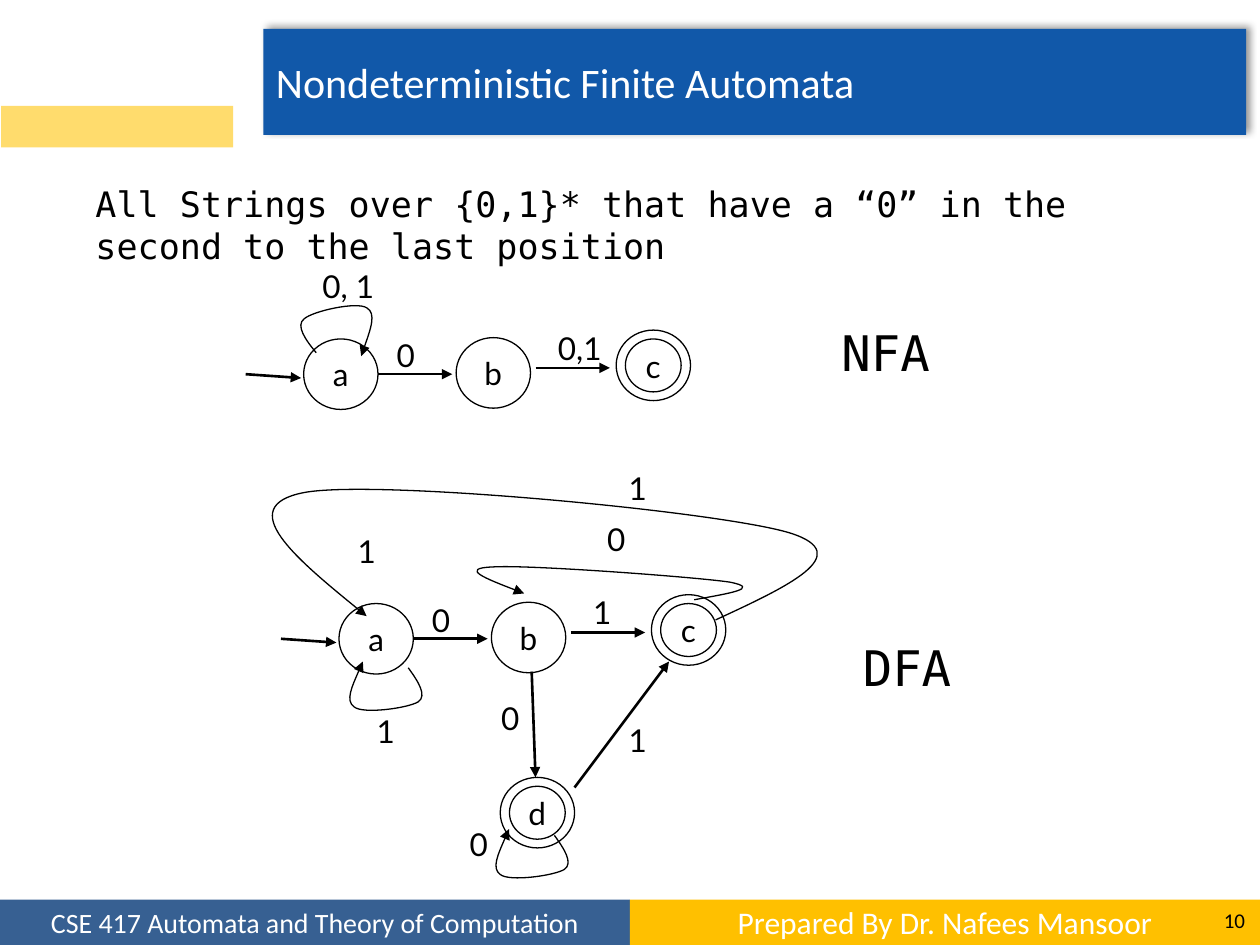
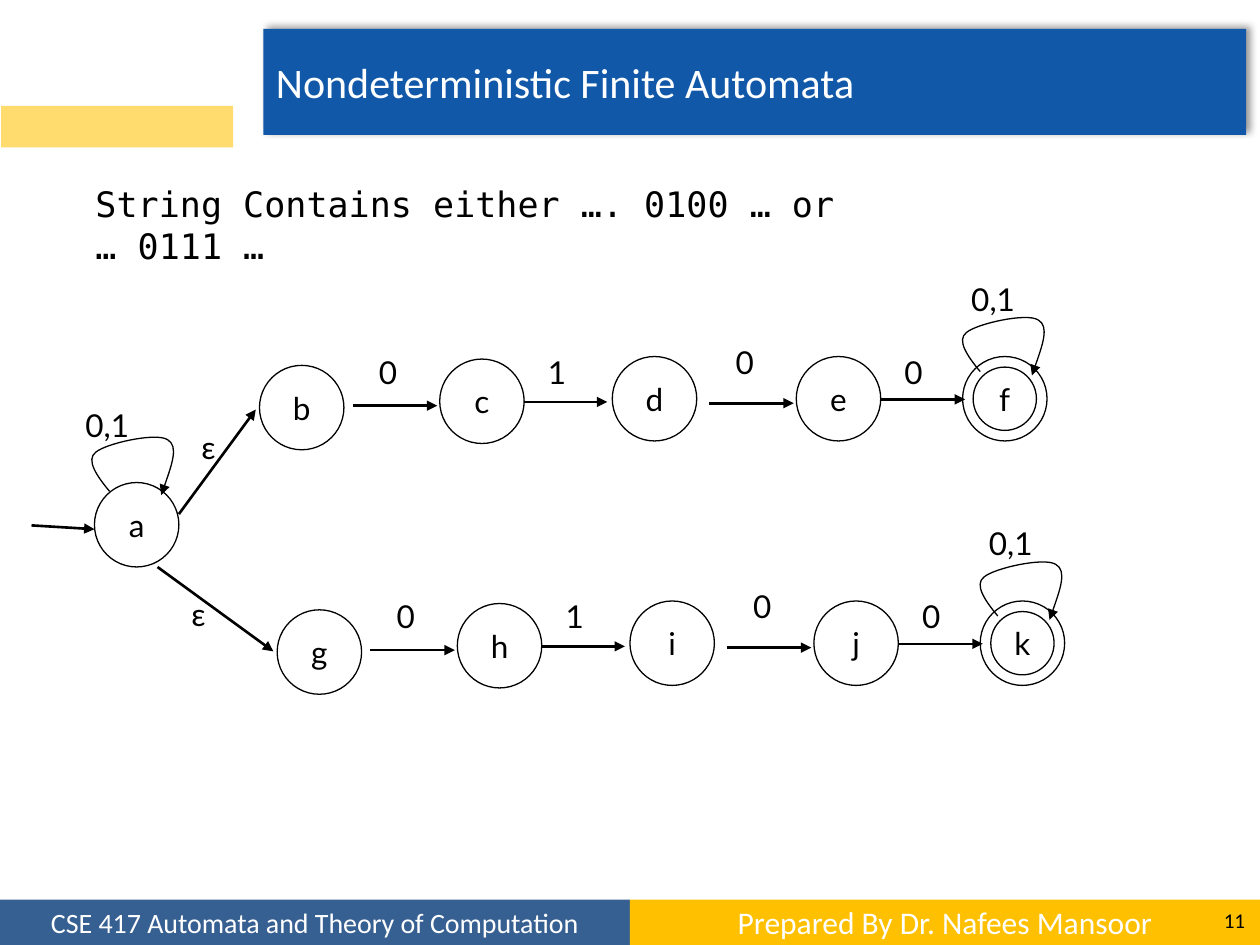
from lxml import etree
from pptx import Presentation
from pptx.dml.color import RGBColor
from pptx.enum.shapes import MSO_CONNECTOR, MSO_SHAPE
from pptx.enum.text import MSO_ANCHOR, MSO_AUTO_SIZE, PP_ALIGN
from pptx.oxml import parse_xml
from pptx.oxml.ns import qn
from pptx.util import Cm, Pt

LEFT, MID, RIGHT = PP_ALIGN.LEFT, PP_ALIGN.CENTER, PP_ALIGN.RIGHT
TOP, CORE = MSO_ANCHOR.TOP, MSO_ANCHOR.MIDDLE
RECT, OVAL = MSO_SHAPE.RECTANGLE, MSO_SHAPE.OVAL
STRAIGHT = MSO_CONNECTOR.STRAIGHT
NO_FIT = MSO_AUTO_SIZE.NONE
BLACK, WHITE = "000000", "FFFFFF"
BLUE, NAVY, GOLD, SAND = "1158A9", "376092", "FFC000", "FFDC6D"
BODY, MONO, HEAD = "Lato", "DejaVu Sans Mono", "Calibri"
NS = 'xmlns:a="http://schemas.openxmlformats.org/drawingml/2006/main"'

TITLE = "Nondeterministic Finite Automata"
BANDS = [
    (0, 7.14, 5, 0.36, NAVY, "CSE 417 Automata and Theory of Computation", 16),
    (5, 7.14, 5, 0.36, GOLD, "Prepared By Dr. Nafees Mansoor", 18),
    (0.01, 0.84, 1.84, 0.33, SAND, "", 18),
]
WIDTHS = {"0": 0.34, "1": 0.34, "ε": 0.31, "0,1": 0.55, "0, 1": 0.73}

OVER = [(0, 0), (-0.1, -0.12), (-0.19, -0.25), (-0.11, -0.31),
        (-0.03, -0.38), (0.37, -0.47), (0.46, -0.41),
        (0.55, -0.36), (0.48, -0.17), (0.41, 0.03)]
UNDER = [(0, 0), (0.08, 0.11), (0.15, 0.22), (0.08, 0.27),
         (0, 0.32), (-0.36, 0.37), (-0.43, 0.31),
         (-0.5, 0.26), (-0.43, 0.11), (-0.36, -0.05)]
BACK_B = [(5.51, 4.76), (5.78, 4.71), (6.05, 4.67), (5.79, 4.62),
          (5.52, 4.58), (4.18, 4.48), (3.91, 4.5),
          (3.64, 4.51), (3.9, 4.61), (4.16, 4.71)]
BACK_A = [(5.68, 4.92), (6.24, 4.66), (6.81, 4.4), (6.27, 4.23),
          (5.72, 4.06), (2.97, 3.8), (2.41, 3.91),
          (1.85, 4.02), (2.38, 4.46), (2.91, 4.89)]

SHORT = {
    "size": (0.59, 0.56),
    "nodes": [(2.41, 2.69), (3.62, 2.68), (4.89, 2.62)],
    "ways": [(1.95, 2.97, 2.39, 3), (3, 2.97, 3.59, 2.97),
             (4.25, 2.92, 4.84, 2.92)],
    "tags": [(3.05, 2.62), (4.33, 2.56)],
}
NFA = {"curves": [(OVER, 2.51, 2.8, 0.87)], "tags": [(2.46, 2.07)]}
DFA = {
    "size": (0.59, 0.56),
    "nodes": [(3.97, 6.17)],
    "ways": [(4.22, 5.33, 4.25, 6.17), (4.56, 6.25, 5.31, 5.25)],
    "curves": [(BACK_B, 0, 0, 1), (BACK_A, 0, 0, 1),
               (UNDER, 3.24, 5.3, 1), (UNDER, 4.4, 6.63, 1)],
    "tags": [(2.74, 4.17), (4.72, 4.08), (4.89, 3.67), (3.63, 6.5),
             (3.88, 5.5), (2.89, 5.6), (4.89, 5.67)],
}
START = {
    "size": (0.67, 0.67),
    "nodes": [(0.75, 3.83)],
    "ways": [(0.25, 4.17, 0.75, 4.2), (1.42, 4.08, 2.03, 3.25),
             (1.25, 4.5, 2.17, 5.17)],
    "curves": [(OVER, 0.87, 3.9, 1)],
    "tags": [(0.58, 3.17), (1.5, 3.35), (1.42, 4.67)],
}
BRANCH = {
    "size": (0.67, 0.67),
    "nodes": [(2.06, 2.9), (3.49, 2.85), (4.86, 2.83), (6.32, 2.83),
              (7.64, 2.83)],
    "ways": [(2.8, 3.22, 3.47, 3.22), (4.16, 3.19, 4.82, 3.19),
             (5.63, 3.2, 6.3, 3.2), (6.99, 3.17, 7.66, 3.17)],
    "curves": [(OVER, 7.78, 2.95, 1)],
    "tags": [(2.91, 2.75), (4.25, 2.75), (5.74, 2.67), (7.08, 2.75),
             (7.61, 2.17)],
}

SLIDES = [
    {"page": "10", "wide": 8.84,
     "text": "All Strings over {0,1}* that have a “0” in the second "
             "to the last position",
     "names": [("NFA", 6.58, 2.51), ("DFA", 6.75, 5.01)],
     "parts": [(SHORT, ["a", "b", "c*"], ["0", "0,1"], 0, 0),
               (NFA, [], ["0, 1"], 0, 0),
               (SHORT, ["a", "b", "c*"], ["0", "1"], 0.28, 2.1),
               (DFA, ["d*"], list("1010011"), 0, 0)]},
    {"page": "11", "wide": 6.14,
     "text": "String Contains either …. 0100 … or … 0111 …",
     "names": [],
     "parts": [(START, ["a"], ["0,1", "ε", "ε"], 0, 0),
               (BRANCH, ["b", "c", "d", "e", "f*"],
                ["0", "1", "0", "0", "0,1"], 0, 0),
               (BRANCH, ["g", "h", "i", "j", "k*"],
                ["0", "1", "0", "0", "0,1"], 0.14, 1.94)]},
]


def inch(*nums):
    return [Cm(n * 2.54) for n in nums]


def tint(code):
    return RGBColor.from_string(code)


def write(shape, text, size=18, font=BODY, color=BLACK, align=LEFT,
          anchor=TOP, wrap=True):
    frame = shape.text_frame
    frame.auto_size, frame.word_wrap = NO_FIT, wrap
    frame.vertical_anchor = anchor
    para = frame.paragraphs[0]
    para.alignment = align
    run = para.add_run()
    run.text = text
    run.font.size, run.font.name = Pt(size), font
    run.font.color.rgb = tint(color)


def label(slide, text, x, y, w, h, **look):
    write(slide.shapes.add_textbox(*inch(x, y, w, h)), text, **look)


def block(slide, kind, x, y, w, h, fill, line=None):
    shape = slide.shapes.add_shape(kind, *inch(x, y, w, h))
    shape.shadow.inherit = False
    shape.fill.solid()
    shape.fill.fore_color.rgb = tint(fill)
    if line:
        shape.line.color.rgb, shape.line.width = tint(line), Pt(0.75)
    else:
        shape.line.fill.background()
    return shape


def point(shape, width):
    shape.line.color.rgb, shape.line.width = tint(BLACK), Pt(width)
    line = shape.line._get_or_add_ln()
    etree.SubElement(line, qn("a:tailEnd"), type="triangle")


def arrow(slide, *ends):
    link = slide.shapes.add_connector(STRAIGHT, *inch(*ends))
    point(link, 1.5)
    etree.SubElement(link._element.spPr, qn("a:effectLst"))


def curve(slide, dots):
    dots = [inch(*dot) for dot in dots]
    pen = slide.shapes.build_freeform(*dots[0])
    pen.add_line_segments(dots[1:], close=False)
    shape = pen.convert_to_shape()
    shape.shadow.inherit = False
    shape.fill.background()
    point(shape, 0.75)
    steps = list(shape._element.iter(qn("a:lnTo")))
    for i in range(0, len(steps), 3):
        bend = etree.SubElement(steps[i].getparent(), qn("a:cubicBezTo"))
        for step in steps[i:i + 3]:
            bend.append(step[0])
            step.getparent().remove(step)


def node(slide, name, x, y, w, h):
    ring = block(slide, OVAL, x, y, w, h, WHITE, BLACK)
    if name.endswith("*"):
        ring = block(slide, OVAL, x + w / 8, y + h / 8, w * 0.75, h * 0.75,
                     WHITE, BLACK)
    write(ring, name[0], align=MID, anchor=CORE, wrap=False)


def draw(slide, part, names, marks, dx, dy):
    for name, (x, y) in zip(names, part.get("nodes", [])):
        node(slide, name, x + dx, y + dy, *part["size"])
    for x1, y1, x2, y2 in part.get("ways", []):
        arrow(slide, x1 + dx, y1 + dy, x2 + dx, y2 + dy)
    for dots, x, y, zoom in part.get("curves", []):
        curve(slide, [(x + dx + a * zoom, y + dy + b * zoom)
                      for a, b in dots])
    for mark, (x, y) in zip(marks, part["tags"]):
        label(slide, mark, x + dx, y + dy, WIDTHS[mark], 0.4,
              wrap=len(mark) > 3)


def banner(title):
    title.left, title.top, title.width, title.height = inch(
        2.09, 0.23, 7.8, 0.84)
    props = title._element.spPr
    props.append(parse_xml(
        f'<a:prstGeom {NS} prst="horizontalScroll"><a:avLst/></a:prstGeom>'))
    title.fill.solid()
    title.fill.fore_color.rgb = tint(BLUE)
    props.append(parse_xml(
        f'<a:effectLst {NS}><a:outerShdw blurRad="{Pt(4)}" dist="{Pt(3)}" '
        f'dir="18900000" algn="bl" rotWithShape="0"><a:srgbClr val="{BLACK}">'
        '<a:alpha val="40000"/></a:srgbClr></a:outerShdw></a:effectLst>'))
    write(title, TITLE, size=24, font=HEAD, color=WHITE, anchor=CORE)


def base(deck, page):
    slide = deck.slides.add_slide(deck.slide_layouts[5])
    for x, y, w, h, fill, text, size in BANDS:
        band = block(slide, RECT, x, y, w, h, fill)
        if text:
            write(band, text, size=size, font=HEAD, color=WHITE, align=MID,
                  anchor=CORE)
    label(slide, page, 9.33, 7.1, 0.65, 0.4, size=12, font=HEAD,
          align=RIGHT, anchor=CORE)
    banner(slide.shapes.title)
    return slide


deck = Presentation()
deck.slide_width, deck.slide_height = inch(10, 7.5)
for item in SLIDES:
    slide = base(deck, item["page"])
    label(slide, item["text"], 0.66, 1.4, item["wide"], 0.77, size=20,
          font=MONO)
    for part in item["parts"]:
        draw(slide, *part)
    for name, x, y in item["names"]:
        label(slide, name, x, y, 1, 0.57, size=28, font=MONO, wrap=False)
deck.save("out.pptx")
